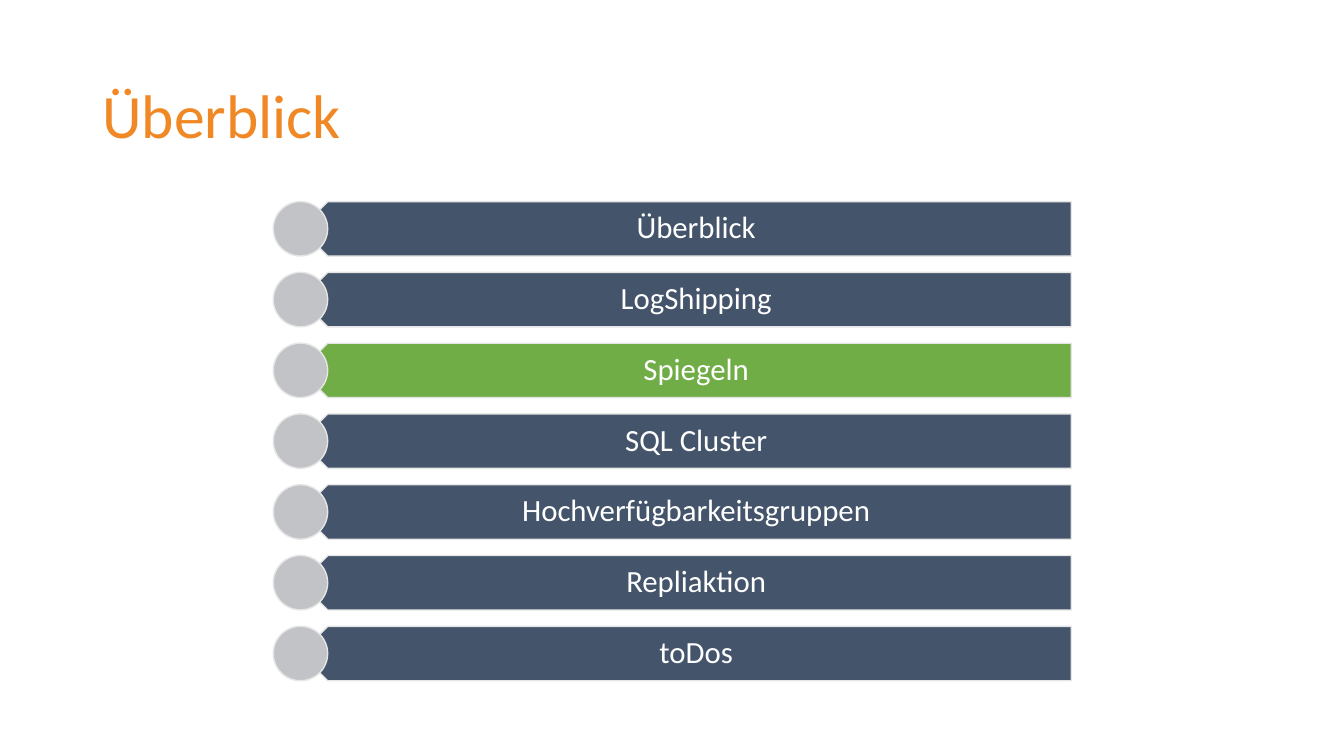
from pptx import Presentation
from pptx.dml.color import RGBColor
from pptx.enum.shapes import MSO_SHAPE
from pptx.enum.text import MSO_ANCHOR, PP_ALIGN
from pptx.util import Pt

# Content
TITLE = "Überblick"
TOPICS = ["Überblick", "LogShipping", "Spiegeln", "SQL Cluster",
          "Hochverfügbarkeitsgruppen", "Repliaktion", "toDos"]
CURRENT = "Spiegeln"

THEME = {
    "font": "Calibri", "title_size": 44, "topic_size": 22,
    "title": "F18826", "text": "FFFFFF", "bar": "44546A",
    "current": "70AD47", "dot": "C1C3C7", "outline": "E7E6E6",
}

# Layout in points
TOP, PITCH, HEIGHT = 144, 50.56, 38.9
DOT_LEFT, BAR_WIDTH = 195.2, 550.5
BAR_LEFT = DOT_LEFT + HEIGHT / 2
LABEL_INDENT = HEIGHT / 4


def add_text(s, text, x, y, w, h, *, size, color, align=PP_ALIGN.LEFT,
             margins=(7.2, 3.6, 7.2, 3.6)):
    tf = s.shapes.add_textbox(Pt(x), Pt(y), Pt(w), Pt(h)).text_frame
    tf.word_wrap = True
    tf.vertical_anchor = MSO_ANCHOR.MIDDLE
    tf.margin_left, tf.margin_top, tf.margin_right, tf.margin_bottom = map(Pt, margins)
    p = tf.paragraphs[0]
    p.alignment = align
    p.line_spacing = 0.9
    r = p.add_run()
    r.text = text
    r.font.name = THEME["font"]
    r.font.size = Pt(size)
    r.font.color.rgb = RGBColor.from_string(color)


def add_outlined(s, kind, x, y, w, h, fill):
    sp = s.shapes.add_shape(kind, Pt(x), Pt(y), Pt(w), Pt(h))
    sp.shadow.inherit = False
    sp.fill.solid()
    sp.fill.fore_color.rgb = RGBColor.from_string(fill)
    sp.line.color.rgb = RGBColor.from_string(THEME["outline"])
    sp.line.width = Pt(1)
    return sp


prs = Presentation()
prs.slide_width, prs.slide_height = Pt(960), Pt(540)
s = prs.slides.add_slide(prs.slide_layouts[6])

# Title
add_text(s, TITLE, 66, 36, 828, 97.2, size=THEME["title_size"], color=THEME["title"])

# Agenda rows: bar pointing left, label, dot over the tip
for i, topic in enumerate(TOPICS):
    y = TOP + i * PITCH
    fill = THEME["current" if topic == CURRENT else "bar"]
    bar = add_outlined(s, MSO_SHAPE.PENTAGON, BAR_LEFT, y, BAR_WIDTH, HEIGHT, fill)
    bar.rotation = 180
    add_text(s, topic, BAR_LEFT + LABEL_INDENT, y, BAR_WIDTH - LABEL_INDENT, HEIGHT,
             size=THEME["topic_size"], color=THEME["text"],
             align=PP_ALIGN.CENTER, margins=(17.2, 6.6, 12.2, 6.6))
    add_outlined(s, MSO_SHAPE.OVAL, DOT_LEFT, y, HEIGHT, HEIGHT, THEME["dot"])

prs.save("out.pptx")
